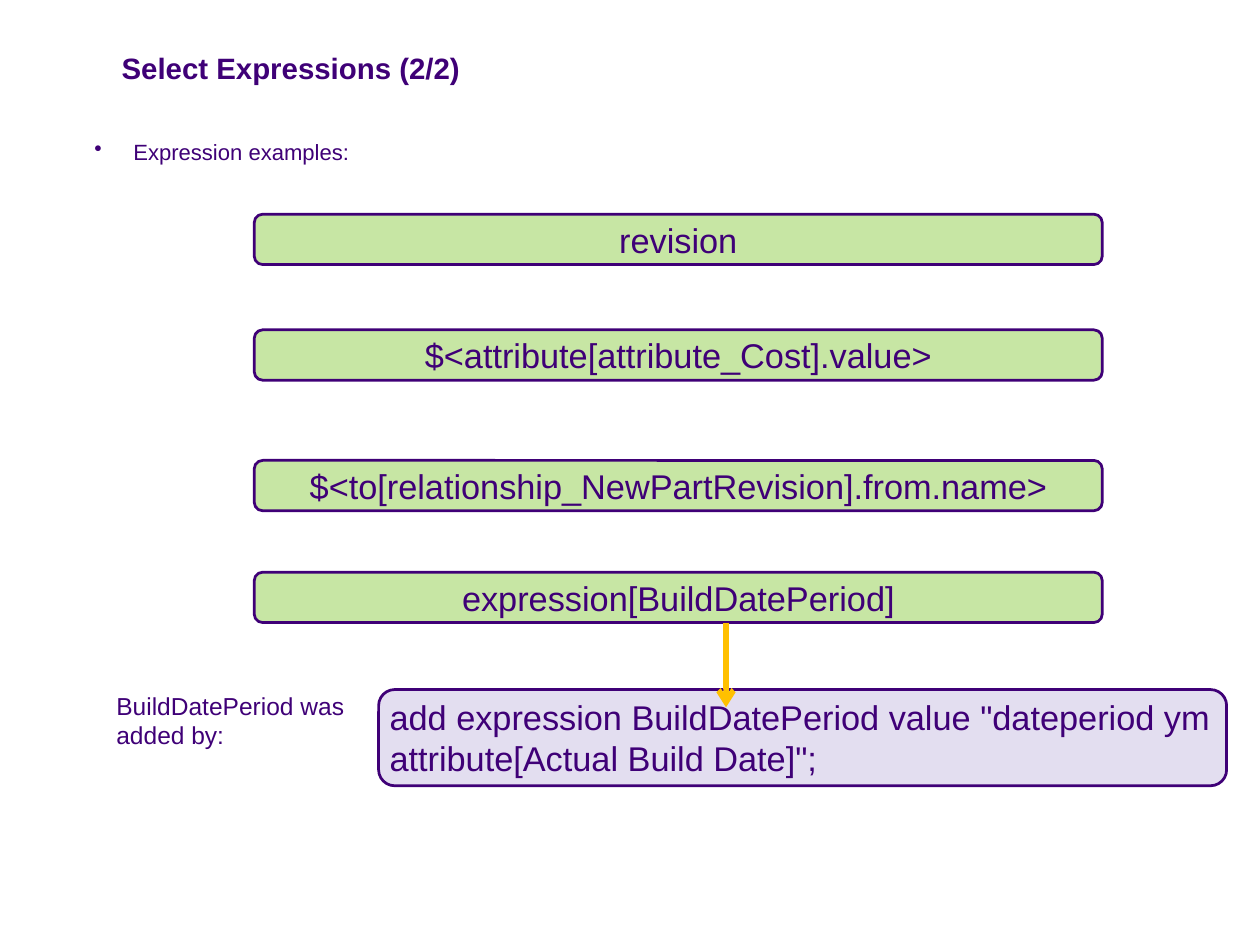
import dataclasses

import lxml.etree
import pptx
import pptx.dml.color
import pptx.enum.shapes
import pptx.enum.text
import pptx.oxml.ns
import pptx.util

Cm = pptx.util.Cm
Pt = pptx.util.Pt
ALIGN = pptx.enum.text.PP_ALIGN


@dataclasses.dataclass
class Theme:
    font: str = "Arial"
    ink: str = "3F0077"
    green: str = "C7E6A4"
    lavender: str = "E3DEF0"
    amber: str = "FFC000"
    title_size: int = 24
    body_size: int = 18
    caption_size: int = 20
    code_size: int = 28
    outline: float = 2.25
    arrow: float = 4.5


def rgb(code):
    return pptx.dml.color.RGBColor.from_string(code)


def add_element(parent, tag, **attributes):
    return lxml.etree.SubElement(parent, pptx.oxml.ns.qn(tag), **attributes)


class SlideBuilder:
    def __init__(self, slide, theme):
        self.slide = slide
        self.theme = theme

    def set_text(self, sp, text, size, bold=False, align=ALIGN.LEFT, insets=(0.25, 0.13)):
        """Fill a shape with one paragraph; insets are horizontal and vertical in cm."""
        tf = sp.text_frame
        tf.word_wrap = True
        tf.margin_left = tf.margin_right = Cm(insets[0])
        tf.margin_top = tf.margin_bottom = Cm(insets[1])
        p = tf.paragraphs[0]
        p.text = text
        p.alignment = align
        p.font.name = self.theme.font
        p.font.size = Pt(size)
        p.font.bold = bold
        p.font.color.rgb = rgb(self.theme.ink)

    def text(self, box, text, size, bold=False):
        sp = self.slide.shapes.add_textbox(*map(Cm, box))
        self.set_text(sp, text, size, bold)

    def bullet(self, box, text, size, indent):
        sp = self.slide.shapes.add_textbox(*map(Cm, box))
        pPr = sp.text_frame.paragraphs[0]._p.get_or_add_pPr()
        pPr.set("marL", str(Cm(indent)))
        pPr.set("indent", str(-Cm(indent)))
        add_element(pPr, "a:buChar", char="•")
        self.set_text(sp, text, size, insets=(0, 0))

    def code_box(self, box, text, fill, align):
        sp = self.slide.shapes.add_shape(
            pptx.enum.shapes.MSO_SHAPE.ROUNDED_RECTANGLE, *map(Cm, box))
        sp.shadow.inherit = False
        sp.fill.solid()
        sp.fill.fore_color.rgb = rgb(fill)
        sp.line.color.rgb = rgb(self.theme.ink)
        sp.line.width = Pt(self.theme.outline)
        sp.text_frame.vertical_anchor = pptx.enum.text.MSO_ANCHOR.MIDDLE
        self.set_text(sp, text, self.theme.code_size, align=align, insets=(0.18, 0.05))

    def down_arrow(self, x, top, bottom):
        line = self.slide.shapes.add_connector(
            pptx.enum.shapes.MSO_CONNECTOR.STRAIGHT, Cm(x), Cm(top), Cm(x), Cm(bottom))
        line.line.color.rgb = rgb(self.theme.amber)
        line.line.width = Pt(self.theme.arrow)
        spPr = line._element.spPr
        add_element(spPr.get_or_add_ln(), "a:tailEnd", type="arrow")
        add_element(spPr, "a:effectLst")


def main():
    prs = pptx.Presentation()
    prs.slide_width, prs.slide_height = Cm(36.27), Cm(27.1)
    theme = Theme()
    s = SlideBuilder(prs.slides.add_slide(prs.slide_layouts[6]), theme)

    s.text((3.25, 1.3, 31.67, 1.3), "Select Expressions (2/2)", theme.title_size, bold=True)
    s.bullet((2.72, 3.99, 32.16, 2.36), "Expression examples:", theme.body_size, indent=1.12)

    box_width, box_height = 24.41, 1.45
    examples = [
        (6.17, "revision"),
        (9.5, "$<attribute[attribute_Cost].value>"),
        (13.26, "$<to[relationship_NewPartRevision].from.name>"),
        (16.48, "expression[BuildDatePeriod]"),
    ]
    for top, expression in examples:
        s.code_box((7.32, top, box_width, box_height), expression, theme.green, ALIGN.CENTER)

    s.code_box((10.9, 19.86, box_width, 2.77),
               'add expression BuildDatePeriod value "dateperiod ym attribute[Actual Build Date]";',
               theme.lavender, ALIGN.LEFT)
    s.down_arrow(20.9, 17.93, 20.37)
    s.text((3.1, 19.76, 7.8, 1.96), "BuildDatePeriod was added by:", theme.caption_size)

    prs.save("out.pptx")


if __name__ == "__main__":
    main()
